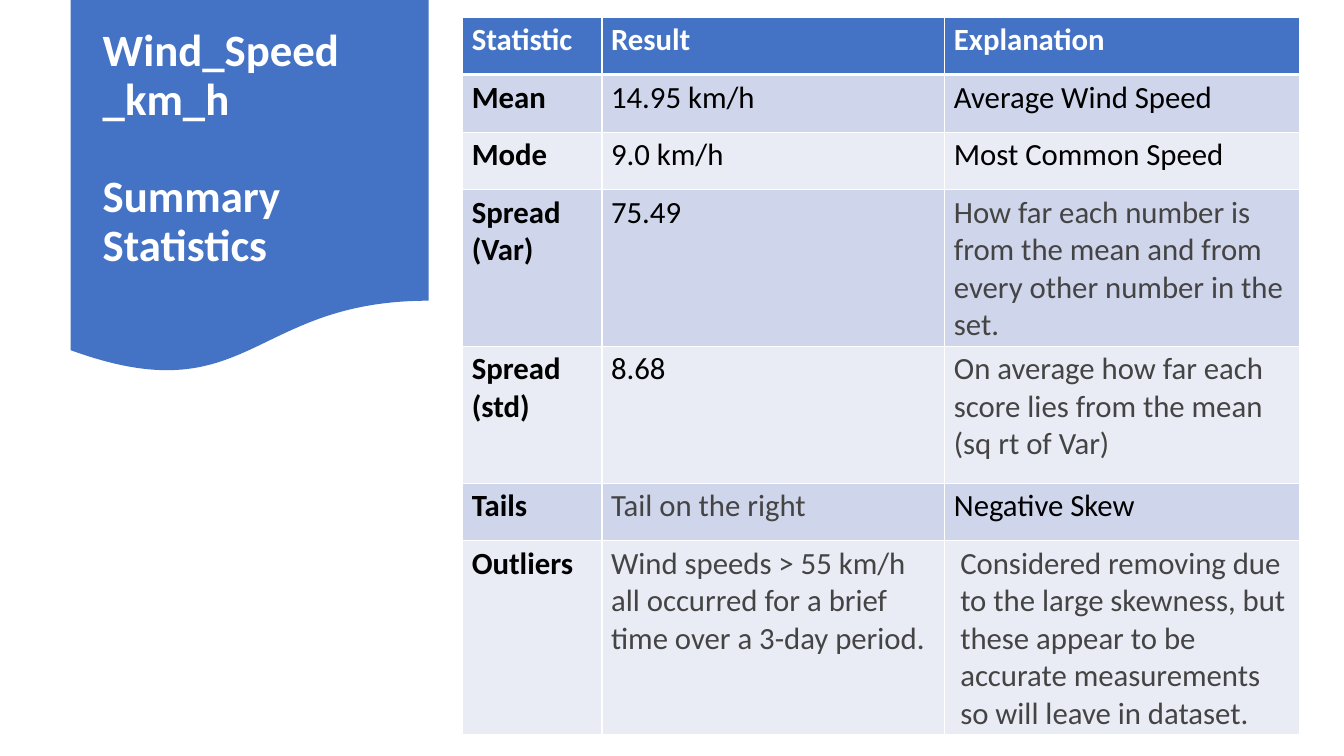
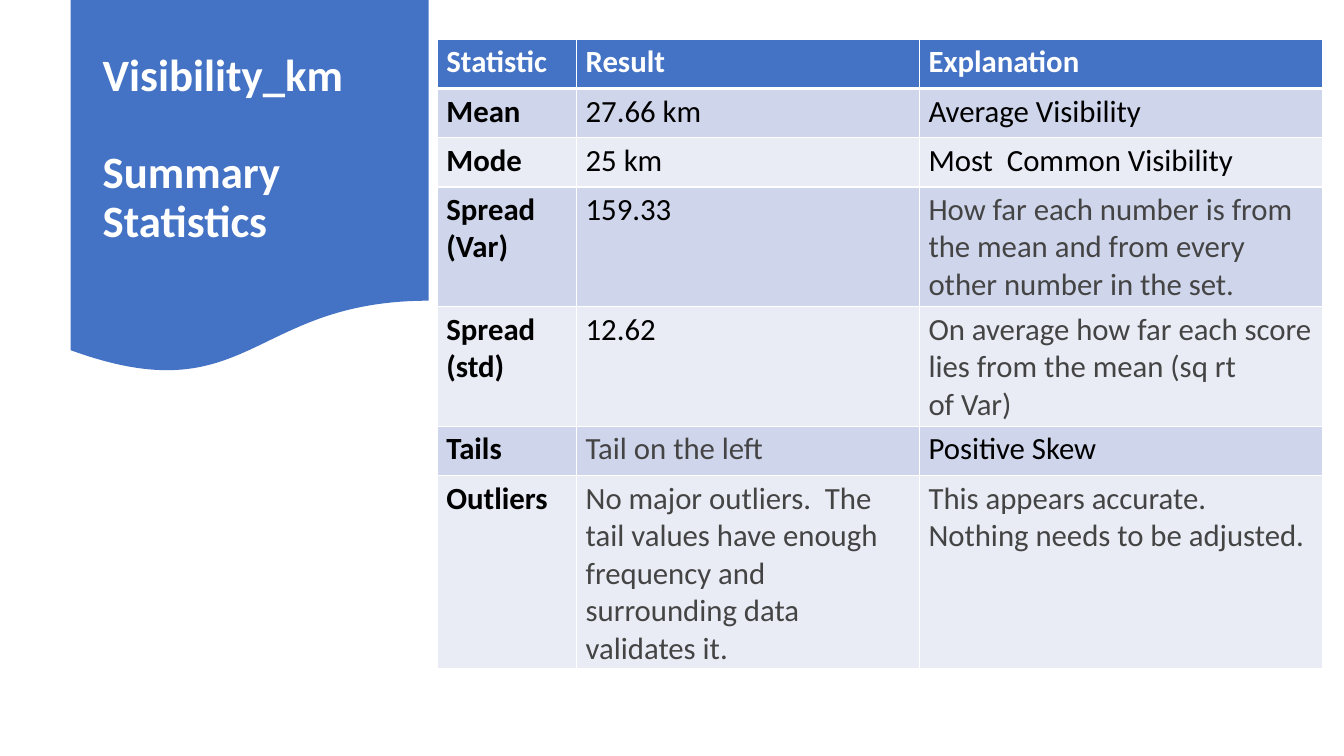
"""Build two summary-statistics slides, each a titled banner beside a table."""
from dataclasses import dataclass

from lxml.etree import SubElement
from pptx import Presentation
from pptx.dml.color import RGBColor as Rgb
from pptx.enum.shapes import MSO_SHAPE as Preset
from pptx.enum.text import MSO_ANCHOR as Anchor
from pptx.oxml.ns import qn
from pptx.slide import Slide
from pptx.table import _Cell as Cell
from pptx.text.text import _Paragraph as Paragraph
from pptx.util import Cm, Pt


@dataclass(frozen=True)
class Theme:
    """Colours, font and type sizes shared by every slide."""
    accent: str = "4472C4"
    bands: tuple[str, str] = ("CFD5EA", "E9EBF5")
    white: str = "FFFFFF"
    ink: str = "000000"
    muted: str = "444444"
    font: str = "Calibri"
    title_size: int = 32
    table_size: int = 22
    thin: float = 1
    thick: float = 3


@dataclass(frozen=True)
class Box:
    """A rectangle in centimetres."""
    left: float
    top: float
    width: float
    height: float

    def lengths(self) -> tuple[Cm, Cm, Cm, Cm]:
        """Return the four measures as lengths."""
        return Cm(self.left), Cm(self.top), Cm(self.width), Cm(self.height)


@dataclass(frozen=True)
class Summary:
    """The content and table grid of one slide."""
    variable: str
    left: float
    top: float
    widths: tuple[float, ...]
    heights: tuple[float, ...]
    results: tuple[str, ...]
    mean_note: str
    mode_note: str
    tail_note: str
    outlier_note: str
    outlier_indent: float = 0

    def rows(self) -> list[tuple[str, str, str]]:
        """Return the header row and the six statistic rows."""
        notes = (self.mean_note, self.mode_note, VARIANCE_NOTE, DEVIATION_NOTE,
                 self.tail_note, self.outlier_note)
        return [HEADER, *zip(STATISTICS, self.results, notes)]


THEME = Theme()
BANNER = Box(1.78, 0, 9.02, 9.45)
TITLE = Box(2.34, 0.48, 7.9, 6.58)
HEADER = ("Statistic", "Result", "Explanation")
STATISTICS = ("Mean", "Mode", "Spread (Var)", "Spread (std)", "Tails", "Outliers")
VARIANCE_NOTE = ("How far each number is from the mean and from "
                 "every other number in the set.")
DEVIATION_NOTE = ("On average how far each score lies from the mean "
                  "(sq rt of\u00a0Var)")
MUTED_CELLS = {(3, 2), (4, 2), (5, 1), (6, 1), (6, 2)}

SUMMARIES = (
    Summary(
        "Wind_Speed\n_km_h", 11.66, 0.43, (3.51, 8.64, 8.94),
        (1.45, 1.45, 1.45, 3.45, 3.45, 1.45, 4.47),
        ("14.95 km/h", "9.0 km/h", "75.49", "8.68", "Tail on the right",
         "Wind speeds > 55 km/h all occurred for a brief time over a 3-day period."),
        "Average Wind Speed", "Most Common Speed", "Negative Skew",
        "Considered removing due to the large skewness, but these appear to be "
        "accurate measurements so will leave in dataset.", 0.16),
    Summary(
        "Visibility_km", 11.02, 0.99, (3.51, 8.64, 10.16),
        (1.24, 1.24, 1.24, 3.02, 2.67, 1.24, 3.91),
        ("27.66 km", "25 km", "159.33", "12.62", "Tail on the left",
         "No major outliers.\u00a0 The tail values have enough frequency and "
         "surrounding data validates it."),
        "Average Visibility", "Most\u00a0 Common\u00a0Visibility", "Positive Skew",
        "This appears\u00a0accurate.\u00a0 Nothing\u00a0needs\u00a0to be adjusted."),
)


def write(para: Paragraph, text: str, *, size: float, color: str,
          bold: bool = False) -> None:
    """Add formatted text to a paragraph, breaking lines at newlines."""
    for index, line in enumerate(text.split("\n")):
        if index:
            para.add_line_break()
        span = para.add_run()
        span.text = line
        span.font.name = THEME.font
        span.font.size = Pt(size)
        span.font.bold = bold
        span.font.color.rgb = Rgb.from_string(color)


def add_banner(page: Slide, variable: str) -> None:
    """Draw the wavy banner and the title on it."""
    banner = page.shapes.add_shape(Preset.FLOWCHART_DOCUMENT, *BANNER.lengths())
    banner.shadow.inherit = False
    banner.fill.solid()
    banner.fill.fore_color.rgb = Rgb.from_string(THEME.accent)
    banner.line.fill.background()
    frame = page.shapes.add_textbox(*TITLE.lengths()).text_frame
    frame.word_wrap = True
    frame.vertical_anchor = Anchor.MIDDLE
    heading, subtitle = frame.paragraphs[0], frame.add_paragraph()
    subtitle.space_before = Pt(35)
    for para, text in ((heading, variable), (subtitle, "Summary Statistics")):
        para.line_spacing = 0.9
        write(para, text, size=THEME.title_size, color=THEME.white, bold=True)


def add_borders(cell: Cell, *, top: float, bottom: float) -> None:
    """Give a cell white borders with the chosen top and bottom widths."""
    properties = cell._tc.get_or_add_tcPr()
    sides = {"L": THEME.thin, "R": THEME.thin, "T": top, "B": bottom}
    for side, width in sides.items():
        line = SubElement(properties, qn(f"a:ln{side}"), w=str(Pt(width)))
        fill = SubElement(line, qn("a:solidFill"))
        SubElement(fill, qn("a:srgbClr"), val=THEME.white)


def format_cell(cell: Cell, row: int, column: int, text: str, indent: float) -> None:
    """Fill, border and write one table cell by its place in the grid."""
    add_borders(cell, top=THEME.thick if row == 1 else THEME.thin,
                bottom=THEME.thin if row else THEME.thick)
    cell.fill.solid()
    cell.fill.fore_color.rgb = Rgb.from_string(
        THEME.bands[(row - 1) % 2] if row else THEME.accent)
    cell.margin_left = cell.margin_right = Cm(0.23)
    cell.margin_top = cell.margin_bottom = Cm(0.11)
    color = THEME.muted if (row, column) in MUTED_CELLS else THEME.ink
    para = cell.text_frame.paragraphs[0]
    if indent:
        para._p.get_or_add_pPr().set("marL", str(Cm(indent)))
    write(para, text, size=THEME.table_size, color=color if row else THEME.white,
          bold=row == 0 or column == 0)


def add_statistics(page: Slide, summary: Summary) -> None:
    """Draw the table of statistics."""
    rows = summary.rows()
    area = Box(summary.left, summary.top, sum(summary.widths), sum(summary.heights))
    table = page.shapes.add_table(len(rows), len(HEADER), *area.lengths()).table
    for column, width in zip(table.columns, summary.widths):
        column.width = Cm(width)
    for row, height in zip(table.rows, summary.heights):
        row.height = Cm(height)
    last = (len(rows) - 1, len(HEADER) - 1)
    for row, texts in enumerate(rows):
        for column, text in enumerate(texts):
            indent = summary.outlier_indent if (row, column) == last else 0
            format_cell(table.cell(row, column), row, column, text, indent)


def main() -> None:
    """Build and save the deck."""
    deck = Presentation()
    deck.slide_width, deck.slide_height = Cm(33.87), Cm(19.05)
    for summary in SUMMARIES:
        page = deck.slides.add_slide(deck.slide_layouts[6])
        add_banner(page, summary.variable)
        add_statistics(page, summary)
    deck.save("out.pptx")


main()
